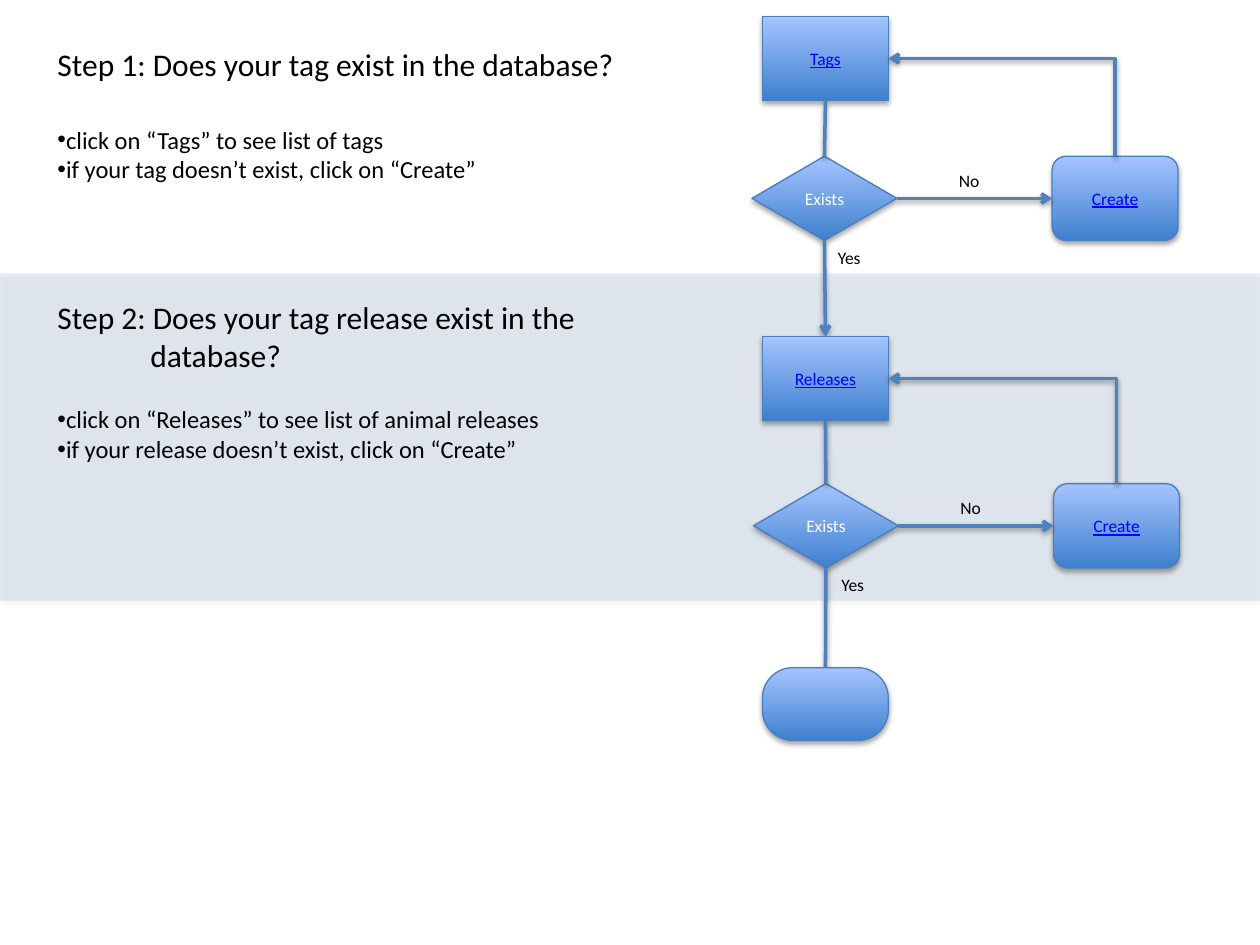
from dataclasses import dataclass

from lxml import etree
from pptx import Presentation
from pptx.dml.color import RGBColor
from pptx.enum.shapes import MSO_CONNECTOR, MSO_SHAPE
from pptx.enum.text import MSO_ANCHOR, MSO_AUTO_SIZE, PP_ALIGN
from pptx.oxml.ns import qn
from pptx.util import Cm, Pt

STRAIGHT, ELBOW = MSO_CONNECTOR.STRAIGHT, MSO_CONNECTOR.ELBOW
RECTANGLE, ROUNDED = MSO_SHAPE.RECTANGLE, MSO_SHAPE.ROUNDED_RECTANGLE
PROCESS = MSO_SHAPE.FLOWCHART_PROCESS
DECISION = MSO_SHAPE.FLOWCHART_DECISION
ALTERNATE = MSO_SHAPE.FLOWCHART_ALTERNATE_PROCESS
MIDDLE, CENTER = MSO_ANCHOR.MIDDLE, PP_ALIGN.CENTER
FIT_TEXT = MSO_AUTO_SIZE.SHAPE_TO_FIT_TEXT

FONT = "Calibri"
COLORS = {
    "text": "000000", "link": "0000FF", "light": "FFFFFF", "accent": "4F81BD",
    "outline": "4B7EBC", "bottom": "3F80CE", "top": "A4C4FF", "shadow": "000000",
}
SLIDE_W, SLIDE_H = 25.4, 19.05
TEXT_LEFT, FLOW_LEFT, FLOW_AXIS = 0.91, 15.37, 16.64
NODE_W, NODE_H, DECISION_W = 2.54, 1.7, 2.92


@dataclass
class Step:
    """Wording and vertical offsets of one step row."""
    title: list
    bullets: list
    node: str
    title_size: tuple
    bullet_size: tuple
    title_top: float
    bullets_top: float
    node_top: float
    decision_top: float
    decision_left: float
    create_left: float
    yes_left: float
    flow_end: float
    arrow: bool


def rgb(name):
    """Return the named colour."""
    return RGBColor.from_string(COLORS[name])


def add_run(paragraph, words, size, color="text", underline=None):
    """Add one styled run."""
    run = paragraph.add_run()
    run.text = words
    run.font.name, run.font.size = FONT, Pt(size)
    run.font.color.rgb = rgb(color)
    run.font.underline = underline


def add_shadow(effects, alpha, distance):
    """Put a soft downward shadow into an effect list."""
    shadow = etree.SubElement(effects, qn("a:outerShdw"), blurRad=str(Pt(3.1)),
                              dist=str(Pt(distance)), dir="5400000", rotWithShape="0")
    color = etree.SubElement(shadow, qn("a:srgbClr"), val=COLORS["shadow"])
    etree.SubElement(color, qn("a:alpha"), val=str(alpha * 1000))


def add_box(slide, kind, left, top, width, height):
    """Add a shadowed shape."""
    box = slide.shapes.add_shape(kind, Cm(left), Cm(top), Cm(width), Cm(height))
    box.shadow.inherit = False
    add_shadow(box._element.spPr.find(qn("a:effectLst")), 35, 1.8)
    return box


def add_node(slide, kind, left, top, width=NODE_W, height=NODE_H, label="", link=True):
    """Add a gradient flowchart node with a centred label."""
    node = add_box(slide, kind, left, top, width, height)
    node.fill.gradient()
    node.fill.gradient_angle = 90
    for stop, color in zip(node.fill.gradient_stops, ("bottom", "top")):
        stop.color.rgb = rgb(color)
    node.line.color.rgb, node.line.width = rgb("outline"), Pt(0.75)
    if label:
        node.text_frame.vertical_anchor = MIDDLE
        paragraph = node.text_frame.paragraphs[0]
        paragraph.alignment = CENTER
        add_run(paragraph, label, 10, "link" if link else "light", link or None)
    return node


def add_link(slide, start, end, kind=STRAIGHT, arrow=None):
    """Add a connector, with an arrowhead at the end given by its tag."""
    link = slide.shapes.add_connector(kind, *(Cm(value) for value in start + end))
    link.line.color.rgb, link.line.width = rgb("accent"), Pt(2)
    properties = link._element.spPr
    if kind == ELBOW:
        properties.find(qn("a:prstGeom")).set("prst", "bentConnector2")
    if arrow:
        etree.SubElement(properties.find(qn("a:ln")), qn(arrow), type="arrow")
    add_shadow(etree.SubElement(properties, qn("a:effectLst")), 38, 1.6)


def add_text(slide, left, top, size, lines, points, bullet=False, indent=0):
    """Add an unwrapped text box, bulleted or with later lines indented."""
    box = slide.shapes.add_textbox(Cm(left), Cm(top), *(Cm(value) for value in size))
    frame = box.text_frame
    frame.word_wrap, frame.auto_size = False, FIT_TEXT
    for index, line in enumerate(lines):
        paragraph = frame.add_paragraph() if index else frame.paragraphs[0]
        add_run(paragraph, line, points)
        properties = paragraph._p.get_or_add_pPr()
        if index and indent:
            properties.set("marL", str(Cm(indent)))
        if bullet:
            etree.SubElement(properties, qn("a:buFont"), typeface="Arial")
            etree.SubElement(properties, qn("a:buChar"), char="•")


def add_band(slide, top, height):
    """Add the tinted full-width band."""
    band = add_box(slide, RECTANGLE, 0, top, SLIDE_W, height)
    band.fill.solid()
    band.fill.fore_color.rgb = rgb("accent")
    tint = band._element.spPr.find(qn("a:solidFill"))[0]
    etree.SubElement(tint, qn("a:alpha"), val="13000")
    band.line.fill.background()


def add_step(slide, top, step):
    """Add the text and the flow of one step below the given top."""
    node_top, decision_top = top + step.node_top, top + step.decision_top
    node_middle, decision_middle = node_top + NODE_H / 2, decision_top + NODE_H / 2
    decision_axis = step.decision_left + DECISION_W / 2
    decision_right = step.decision_left + DECISION_W
    decision_bottom = decision_top + NODE_H

    add_text(slide, TEXT_LEFT, top + step.title_top, step.title_size, step.title, 18, indent=1.87)
    add_text(slide, TEXT_LEFT, top + step.bullets_top, step.bullet_size, step.bullets, 14, bullet=True)

    add_node(slide, PROCESS, FLOW_LEFT, node_top, label=step.node)
    add_node(slide, DECISION, step.decision_left, decision_top, DECISION_W, label="Exists", link=False)
    add_node(slide, ALTERNATE, step.create_left, decision_top, label="Create")

    add_link(slide, (FLOW_AXIS, node_top + NODE_H), (decision_axis, decision_top))
    add_link(slide, (decision_right, decision_middle), (step.create_left, decision_middle),
             arrow="a:tailEnd")
    add_link(slide, (FLOW_LEFT + NODE_W, node_middle),
             (step.create_left + NODE_W / 2, decision_top), ELBOW, "a:headEnd")
    add_link(slide, (decision_axis, decision_bottom), (FLOW_AXIS, top + step.flow_end),
             arrow="a:tailEnd" if step.arrow else None)

    add_text(slide, decision_right + 1, decision_top + 0.15, (0.94, 0.69), ["No"], 10)
    add_text(slide, step.yes_left, decision_bottom, (0.97, 0.69), ["Yes"], 10)


def main():
    """Build and save the slide."""
    deck = Presentation()
    deck.slide_width, deck.slide_height = Cm(SLIDE_W), Cm(SLIDE_H)
    slide = deck.slides.add_slide(deck.slide_layouts[6])
    tag_step = Step(
        ["Step 1: Does your tag exist in the database?"],
        ["click on “Tags” to see list of tags",
         "if your tag doesn’t exist, click on “Create”"],
        "Tags", (11.84, 1.02), (8.99, 1.45), 0.79, 2.39, 0.33, 3.15, 15.16, 21.21, 16.64, 6.78, True)
    release_step = Step(
        ["Step 2: Does your tag release exist in the", "database?"],
        ["click on “Releases” to see list of animal releases",
         "if your release doesn’t exist, click on “Create”"],
        "Releases", (11.05, 1.8), (10.26, 1.45), 0.38, 2.52, 1.27, 4.24, 15.19, 21.24, 16.71, 7.95, False)
    band_top = 5.51
    add_band(slide, band_top, 6.6)
    add_step(slide, 0, tag_step)
    add_step(slide, band_top, release_step)
    finish = add_node(slide, ROUNDED, FLOW_LEFT, band_top + release_step.flow_end, height=1.47)
    finish.adjustments[0] = 0.42
    deck.save("out.pptx")


main()
